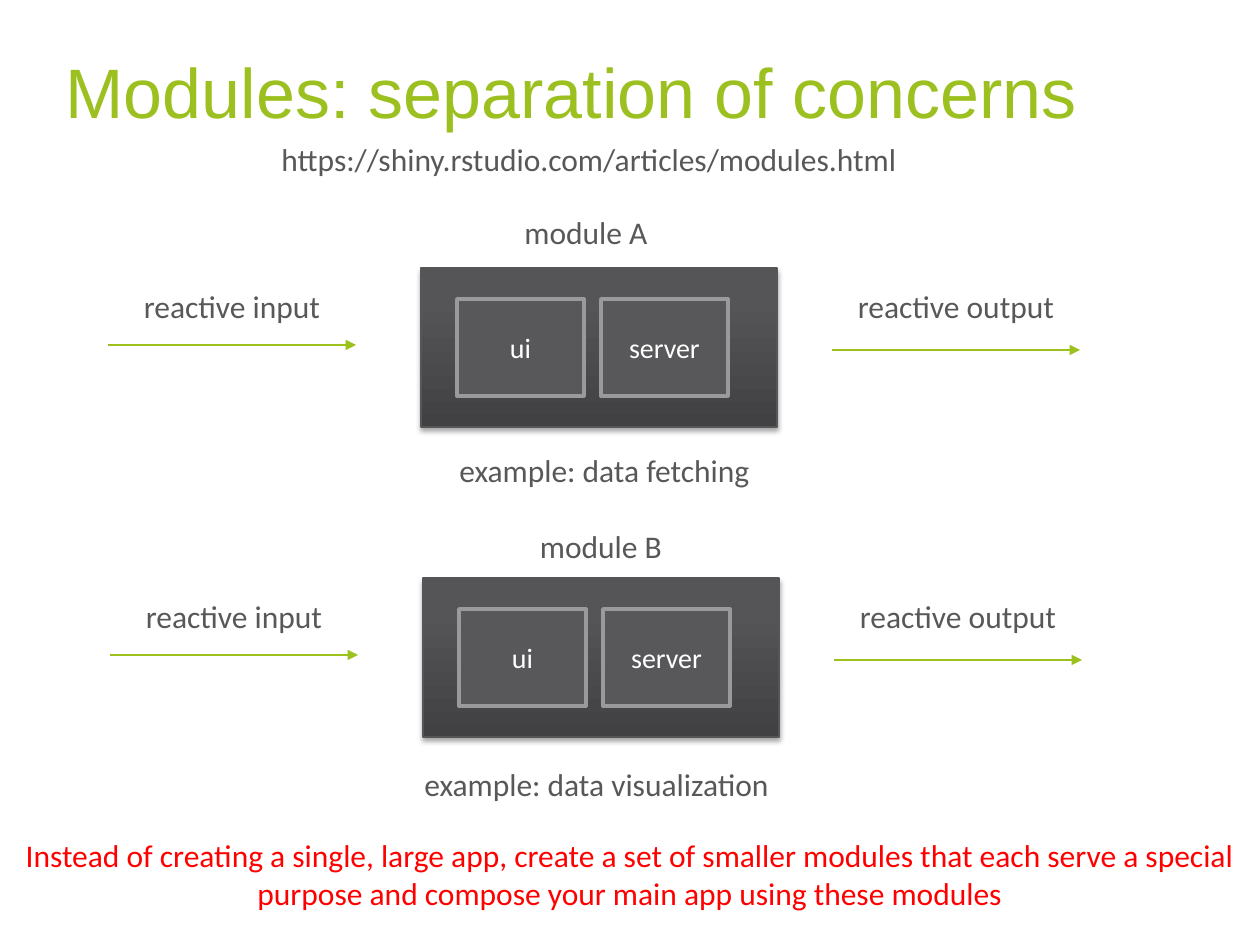
from lxml import etree
from pptx import Presentation
from pptx import util as u
from pptx.dml.color import RGBColor
from pptx.enum import shapes, text
from pptx.oxml import parse_xml
from pptx.oxml.ns import nsdecls, qn

PX = 914400 / 126
GREEN, GREY, RED, WHITE = "9DC021", "58585A", "FF0000", "FFFFFF"
CENTER, LEFT = text.PP_ALIGN.CENTER, text.PP_ALIGN.LEFT


def box(*lengths):
    return [u.Emu(round(v * PX)) for v in lengths]


def write(sp, words, size, color, align=CENTER, font="Calibri"):
    tf = sp.text_frame
    tf.word_wrap = True
    p = tf.paragraphs[0]
    p.alignment = align
    r = p.add_run()
    r.text = words
    for key, value in {"size": u.Pt(size), "name": font}.items():
        setattr(r.font, key, value)
    r.font.color.rgb = RGBColor.from_string(color)


prs = Presentation()
prs.slide_width, prs.slide_height = box(1260, 945)
s = prs.slides.add_slide(prs.slide_layouts[5])

title = s.shapes.title
title.left, title.top, title.width, title.height = box(53, 16, 1207, 149)
title.text_frame.vertical_anchor = text.MSO_ANCHOR.MIDDLE
write(title, "Modules: separation of concerns", 40, GREEN, LEFT, "Arial")

for dx, dy in [(0, 0), (2, 310)]:
    module = s.shapes.add_shape(shapes.MSO_SHAPE.RECTANGLE, *box(421 + dx, 268 + dy, 356, 159))
    module.fill.gradient()
    module.fill.gradient_angle = 90
    for stop, (position, color) in zip(module.fill.gradient_stops, [(0, "414143"), (0.8, "555557")]):
        stop.position = position
        stop.color.rgb = RGBColor.from_string(color)
    module.line.color.rgb = RGBColor.from_string("565658")
    module.line.width = u.Pt(0.75)
    module.shadow.inherit = False
    effects = module._element.spPr.find(qn("a:effectLst"))
    effects.append(parse_xml(
        f'<a:outerShdw {nsdecls("a")} blurRad="{u.Pt(3.1)}" dist="{u.Pt(1.8)}" dir="5400000" rotWithShape="0">'
        '<a:srgbClr val="000000"><a:alpha val="35000"/></a:srgbClr></a:outerShdw>'))

    for x, words in [(457, "ui"), (601, "server")]:
        part = s.shapes.add_shape(shapes.MSO_SHAPE.RECTANGLE, *box(x + dx, 299 + dy, 127, 97))
        part.fill.solid()
        part.fill.fore_color.rgb = RGBColor.from_string(GREY)
        part.line.color.rgb = RGBColor.from_string("9A9A9D")
        part.line.width = u.Pt(2)
        part.shadow.inherit = False
        part.text_frame.vertical_anchor = text.MSO_ANCHOR.MIDDLE
        write(part, words, 16, WHITE)

    for x, y, words in [(108, 345, "reactive input"), (832, 350, "reactive output")]:
        arrow = s.shapes.add_connector(
            shapes.MSO_CONNECTOR.STRAIGHT, *box(x + dx, y + dy, x + dx + 248, y + dy))
        arrow.line.color.rgb = RGBColor.from_string("9CC01C")
        arrow.line.width = u.Pt(0.75)
        etree.SubElement(arrow.line._get_or_add_ln(), qn("a:tailEnd"), type="triangle")
        etree.SubElement(arrow._element.spPr, qn("a:effectLst"))
        label = s.shapes.add_textbox(*box(x + dx - 48, 281 + dy, 344, 51))
        write(label, words, 18, GREY)

for x, y, w, h, words, color, align in [
    (392, 207, 388, 51, "module A", GREY, CENTER),
    (447, 445, 564, 51, "example: data fetching", GREY, LEFT),
    (407, 521, 388, 51, "module B", GREY, CENTER),
    (412, 759, 388, 51, "example: data visualization", GREY, LEFT),
    (269, 134, 752, 51, "https://shiny.rstudio.com/articles/modules.html", GREY, LEFT),
    (0, 830, 1260, 89, "Instead of creating a single, large app, create a set of smaller modules "
     "that each serve a special purpose and compose your main app using these modules", RED, CENTER),
]:
    write(s.shapes.add_textbox(*box(x, y, w, h)), words, 18, color, align)

prs.save("out.pptx")
